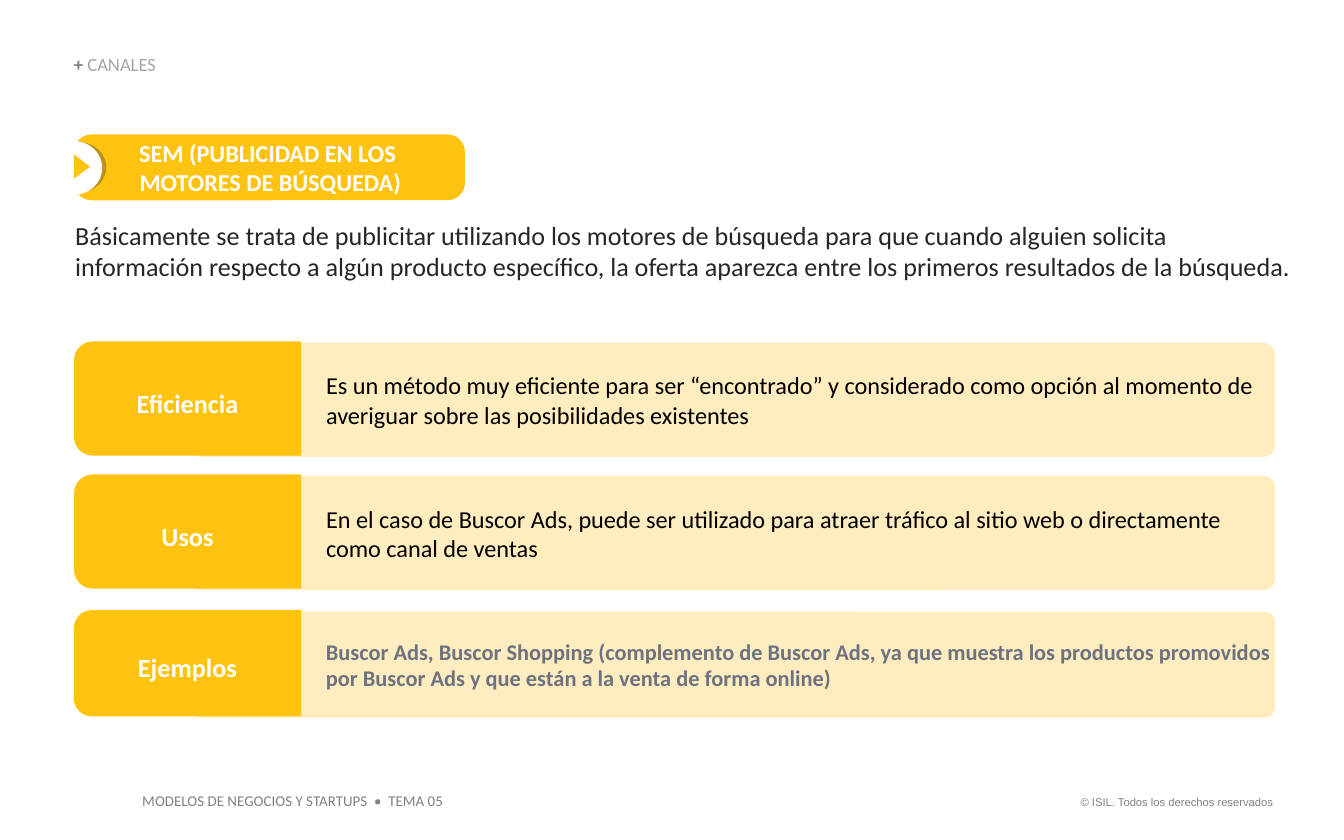
from pptx import Presentation
from pptx.dml.color import RGBColor
from pptx.enum.shapes import MSO_SHAPE
from pptx.enum.text import MSO_ANCHOR, PP_ALIGN
from pptx.util import Pt

PX = 9144  # EMU in one px, 100 px to the inch

GOLD = RGBColor(0xFE, 0xC2, 0x11)
CREAM = RGBColor(0xFF, 0xED, 0xBF)
SHADE = RGBColor(0xBB, 0x91, 0x1A)
WHITE = RGBColor(0xFF, 0xFF, 0xFF)
BLACK = RGBColor(0, 0, 0)
DARK = RGBColor(0x26, 0x26, 0x26)
GRAY = RGBColor(0x80, 0x80, 0x80)
PALE = RGBColor(0xA6, 0xA6, 0xA6)
SLATE = RGBColor(0x6C, 0x72, 0x81)

LEFT = 55
TAB = 169
PANEL = 141


class Page:
    def __init__(self, slide, font="Calibri"):
        self.slide = slide
        self.font = font

    def shape(self, kind, box, fill, turn=0, adj=None):
        form = self.slide.shapes.add_shape(kind, *(n * PX for n in box))
        form.shadow.inherit = False
        form.fill.solid()
        form.fill.fore_color.rgb = fill
        form.line.fill.background()
        form.rotation = turn
        if adj is not None:
            form.adjustments[0] = adj
        return form

    def label(self, form, runs, size, align=PP_ALIGN.LEFT, anchor=MSO_ANCHOR.TOP,
              pad=(0, 0, 0, 0), indent=0, wrap=True, font=None):
        """Fill a shape's text; runs are (text, colour, bold), None is a line break."""
        frame = form.text_frame
        frame.word_wrap = wrap
        frame.vertical_anchor = anchor
        (frame.margin_left, frame.margin_top,
         frame.margin_right, frame.margin_bottom) = (n * PX for n in pad)
        para = frame.paragraphs[0]
        para.alignment = align
        if indent:
            para._p.get_or_add_pPr().set("marL", str(indent * PX))
        for item in runs:
            if item is None:
                para.add_line_break()
                continue
            text, color, bold = item
            run = para.add_run()
            run.text = text
            run.font.name = font or self.font
            run.font.size = Pt(size)
            run.font.bold = bold
            run.font.color.rgb = color
        return para

    def text(self, box, runs, size, **style):
        form = self.slide.shapes.add_textbox(*(n * PX for n in box))
        return self.label(form, runs, size, **style)

    def row(self, top, high, name, run, size):
        """Cream panel with a gold tab, rounded on its left side, over its start."""
        panel = self.shape(MSO_SHAPE.ROUNDED_RECTANGLE, (PANEL, top, 808, high),
                           CREAM, adj=0.107)
        self.label(panel, [run], size, anchor=MSO_ANCHOR.MIDDLE,
                   pad=(94, 0, 0, 0), indent=5)
        shift = (TAB - high) // 2
        self.shape(MSO_SHAPE.ROUND_2_SAME_RECTANGLE,
                   (LEFT + shift, top - 1 - shift, high, TAB), GOLD, turn=270)
        self.text((LEFT, top + high // 2 - 9, TAB, 24), [(name, WHITE, True)], 14,
                  align=PP_ALIGN.CENTER)


def main():
    deck = Presentation()
    deck.slide_width, deck.slide_height = 1000 * PX, 625 * PX
    page = Page(deck.slides.add_slide(deck.slide_layouts[6]))

    inset = (10, 5, 10, 5)
    page.text((788, 587, 169, 20),
              [("© ISIL. Todos los derechos reservados", GRAY, False)], 6,
              align=PP_ALIGN.RIGHT, pad=inset, wrap=False, font="Arial")
    page.text((96, 584, 245, 24),
              [("MODELOS DE NEGOCIOS Y STARTUPS  •  TEMA 05", GRAY, False)], 8,
              pad=inset, wrap=False)
    page.text((LEFT, 163, 907, 71),
              [("Básicamente se trata de publicitar utilizando los motores de búsqueda "
                "para que cuando alguien solicita información respecto a algún producto "
                "específico, la oferta aparezca entre los primeros resultados de la "
                "búsqueda.", DARK, False)], 14, indent=1)
    head = page.text((LEFT, 41, 425, 15),
                     [("+ ", GRAY, True), ("CANALES", PALE, False)], 10,
                     anchor=MSO_ANCHOR.BOTTOM)
    head.line_spacing = 0.9

    title = page.shape(MSO_SHAPE.ROUNDED_RECTANGLE, (LEFT, 100, 291, 49), GOLD, adj=0.267)
    page.label(title, [("SEM (PUBLICIDAD EN LOS ", WHITE, True), None,
                       ("MOTORES DE BÚSQUEDA)", WHITE, True)], 13,
               align=PP_ALIGN.CENTER, anchor=MSO_ANCHOR.MIDDLE, pad=inset, indent=1)
    page.shape(MSO_SHAPE.OVAL, (40, 106, 39, 37), SHADE)
    page.shape(MSO_SHAPE.OVAL, (34, 105, 42, 40), WHITE)
    page.shape(MSO_SHAPE.ISOSCELES_TRIANGLE, (52, 118, 18, 12), GOLD, turn=90)

    rows = [
        (255, 85, "Eficiencia",
         ("Es un método muy eficiente para ser “encontrado” y considerado como opción "
          "al momento de averiguar sobre las posibilidades existentes", BLACK, False), 13),
        (354, 85, "Usos",
         ("En el caso de Buscor Ads, puede ser utilizado para atraer tráfico al sitio "
          "web o directamente como canal de ventas", BLACK, False), 13),
        (455, 79, "Ejemplos",
         ("Buscor Ads, Buscor Shopping (complemento de Buscor Ads, ya que muestra los "
          "productos promovidos por Buscor Ads y que están a la venta de forma online)",
          SLATE, True), 12),
    ]
    for row in rows:
        page.row(*row)

    deck.save("out.pptx")


if __name__ == "__main__":
    main()
